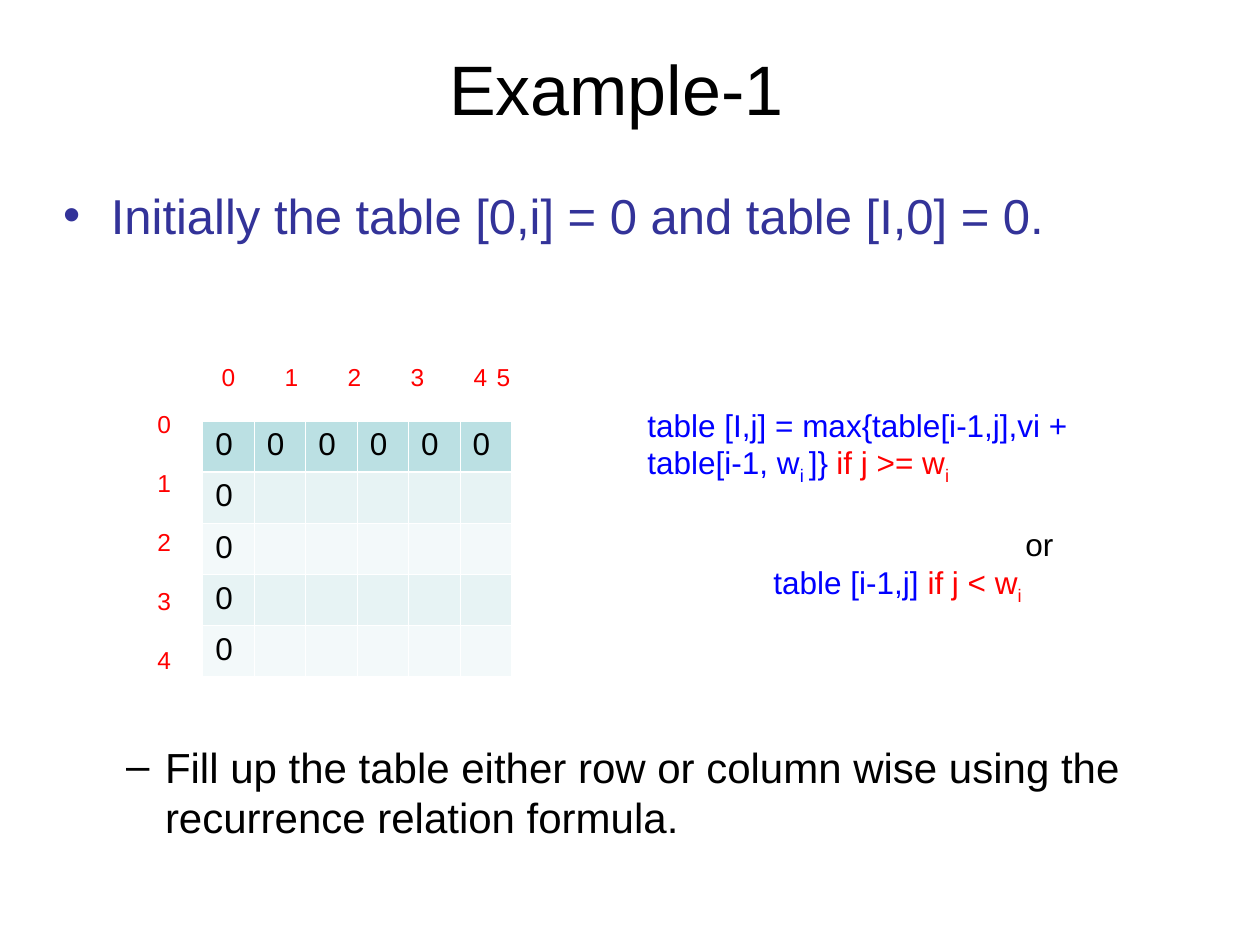
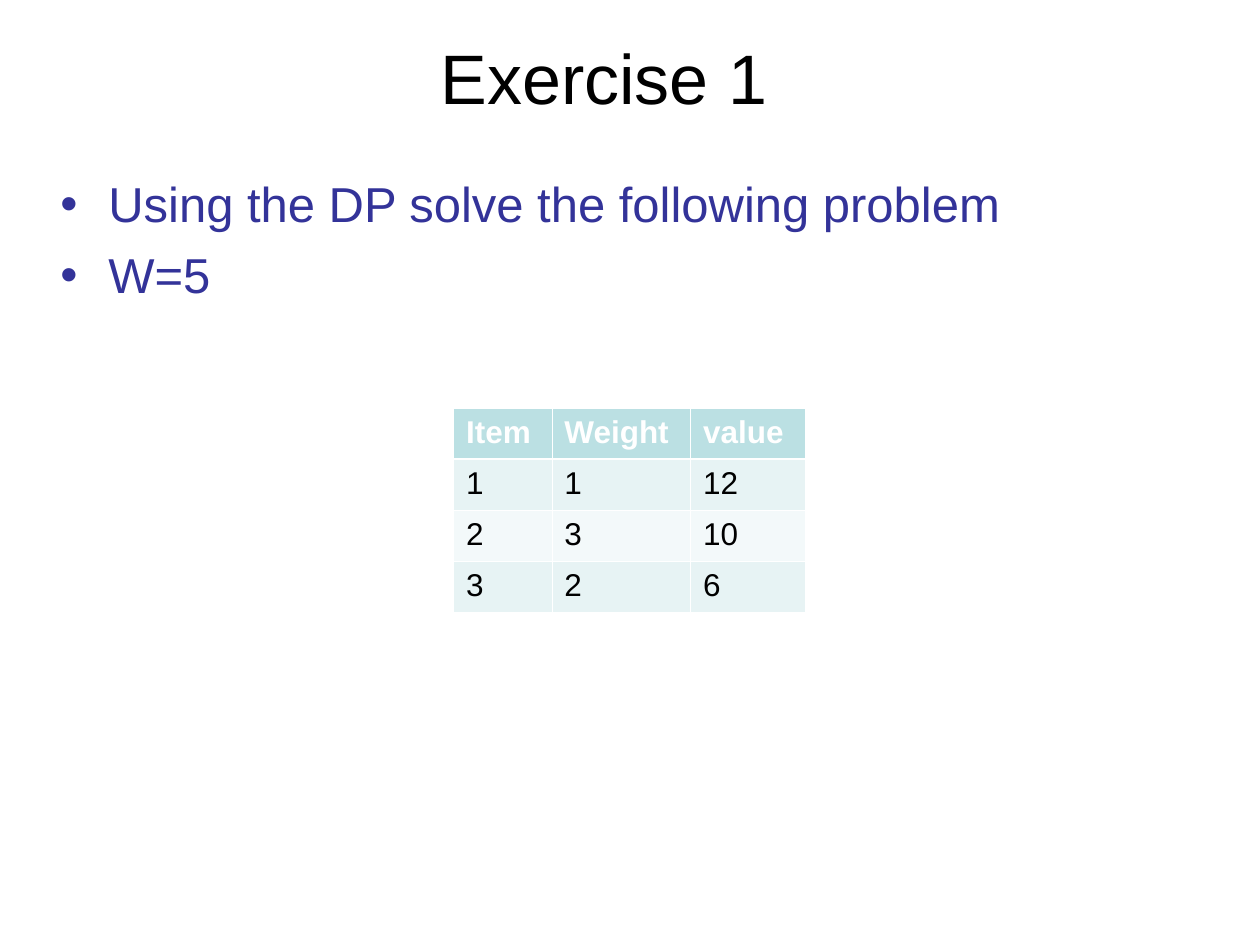
import pptx
import pptx.dml.color
import pptx.enum.text
import pptx.oxml
import pptx.oxml.ns
import pptx.util
from pptx.util import Inches, Pt

# Shared style
FONT = "Arial"
BLACK, WHITE, RED, BLUE, INDIGO = "000000", "FFFFFF", "FF0000", "0000FF", "333399"
HEADER_FILL, BAND_FILLS = "BBE0E3", ("E7F3F4", "F3F9FA")
THIN, THICK = 0.45, 1.47
# Level: size, colour, left margin, hanging indent, space before
LEVELS = [(28, INDIGO, 0.38, -0.38, 7), (24, BLACK, 0.81, -0.31, 6)]

# Example slide
EXAMPLE_TITLE = "Example-1"
EXAMPLE_BULLETS = [
    (0, "Initially the table [0,i] = 0 and table [I,0] = 0."),
    (1, "Fill up the table either row or column wise using the recurrence relation formula."),
]
SPACE_ABOVE_FILL_UP = 284
ITEM_LABELS = ["0", "1", "2", "3", "4"]
CAPACITY_LABELS = {"0": 0.12, "1": 0.5, "2": 0.93, "3": 1.31, "4": 1.69, "5": 2.18}
EXAMPLE_ROWS = [["0"] * 6] + [["0"] + [""] * 5 for _ in range(4)]
# Paragraph: left margin, space before, runs of (text, colour, subscript)
RECURRENCE = [
    (0, 0, [("table [I,j] = max{table[i-1,j],vi + table[i-1, w", BLUE, False),
            ("i ", BLUE, True), ("]}\t", BLUE, False),
            ("if j >= w", RED, False), ("i", RED, True)]),
    (3, 22, [("or", BLACK, False)]),
    (1, 0, [("table [i-1,j] ", BLUE, False), ("if j < w", RED, False), ("i", RED, True)]),
]
CONDITION_TAB = 1.64

# Exercise slide
EXERCISE_TITLE = "Exercise 1 "
EXERCISE_BULLETS = [(0, "Using the DP solve the following problem"), (0, "W=5")]
EXERCISE_ROWS = [["Item", "Weight", "value"], ["1", "1", "12"], ["2", "3", "10"], ["3", "2", "6"]]
EXERCISE_COLUMNS = [0.78, 1.1, 0.91]


def color(value):
    return pptx.dml.color.RGBColor.from_string(value)


def format_runs(paragraph, size, text_color, bold=False):
    for run in paragraph.runs:
        run.font.name = FONT
        run.font.size = Pt(size)
        run.font.bold = bold
        run.font.color.rgb = color(text_color)


def set_indent(paragraph, margin, hanging=0):
    properties = paragraph._p.get_or_add_pPr()
    properties.set("marL", str(Inches(margin)))
    properties.set("indent", str(Inches(hanging)))


def add_tabs(paragraph, positions):
    stops = "".join(f'<a:tab pos="{Inches(position)}" algn="l"/>' for position in positions)
    paragraph._p.get_or_add_pPr().append(pptx.oxml.parse_xml(
        f'<a:tabLst {pptx.oxml.ns.nsdecls("a")}>{stops}</a:tabLst>'))


def place(shape, left, top, width, height):
    shape.left, shape.top = Inches(left), Inches(top)
    shape.width, shape.height = Inches(width), Inches(height)


def add_slide(presentation, title_text, bullets, left, title_top, body_top):
    slide = presentation.slides.add_slide(presentation.slide_layouts[1])
    title, body = slide.shapes.title, slide.placeholders[1]
    place(title, left, title_top, 9, 0.99)
    place(body, left + 0.01, body_top, 9, 5.55)
    for shape in (title, body):
        shape.text_frame.auto_size = pptx.enum.text.MSO_AUTO_SIZE.NONE
    title.text_frame.text = title_text
    format_runs(title.text_frame.paragraphs[0], 40, BLACK)

    body.text_frame.text = "\n".join(text for _, text in bullets)
    for index, (level, _) in enumerate(bullets):
        paragraph = body.text_frame.paragraphs[index]
        size, text_color, margin, hanging, space = LEVELS[level]
        paragraph.level = level
        set_indent(paragraph, margin, hanging)
        paragraph.space_before = Pt(space if index else 0)
        format_runs(paragraph, size, text_color)
    return slide


def add_text_box(slide, left, top, width, height, wrap=True):
    text_frame = slide.shapes.add_textbox(
        Inches(left), Inches(top), Inches(width), Inches(height)).text_frame
    text_frame.word_wrap = wrap
    return text_frame


def set_borders(cell, row_index):
    widths = {"lnL": THIN, "lnR": THIN,
              "lnT": THICK if row_index == 1 else THIN,
              "lnB": THICK if row_index == 0 else THIN}
    properties = cell._tc.get_or_add_tcPr()
    for position, (side, width) in enumerate(widths.items()):
        properties.insert(position, pptx.oxml.parse_xml(
            f'<a:{side} {pptx.oxml.ns.nsdecls("a")} w="{Pt(width)}"><a:solidFill>'
            f'<a:srgbClr val="{WHITE}"/></a:solidFill></a:{side}>'))


def add_grid(slide, rows, left, top, width, height, header_color, header_bold):
    table = slide.shapes.add_table(
        len(rows), len(rows[0]), Inches(left), Inches(top), Inches(width), Inches(height)).table
    for row_index, row in enumerate(rows):
        is_header = row_index == 0
        for column_index, text in enumerate(row):
            cell = table.cell(row_index, column_index)
            cell.text_frame.text = text
            format_runs(cell.text_frame.paragraphs[0], 18,
                        header_color if is_header else BLACK, is_header and header_bold)
            cell.fill.solid()
            fill = HEADER_FILL if is_header else BAND_FILLS[(row_index - 1) % 2]
            cell.fill.fore_color.rgb = color(fill)
            set_borders(cell, row_index)
    return table


def build_example(presentation):
    slide = add_slide(presentation, EXAMPLE_TITLE, EXAMPLE_BULLETS, 0.39, 0.2, 1.42)
    slide.placeholders[1].text_frame.paragraphs[1].space_before = Pt(SPACE_ABOVE_FILL_UP)
    add_grid(slide, EXAMPLE_ROWS, 1.61, 3.34, 2.45, 2.03, BLACK, False)

    # Column labels
    paragraph = add_text_box(slide, 1.54, 2.82, 2.62, 0.35).paragraphs[0]
    first, *others = CAPACITY_LABELS.values()
    set_indent(paragraph, first)
    add_tabs(paragraph, others)
    paragraph.text = "\t".join(CAPACITY_LABELS)
    format_runs(paragraph, 14, RED)

    # Row labels
    text_frame = add_text_box(slide, 1.15, 3.2, 0.31, 2.44, wrap=False)
    text_frame.text = "\n".join(ITEM_LABELS)
    for index, paragraph in enumerate(text_frame.paragraphs):
        paragraph.space_before = Pt(16.8 if index else 0)
        format_runs(paragraph, 14, RED)

    # Recurrence relation
    text_frame = add_text_box(slide, 5.04, 3.17, 4.29, 1.68)
    for index, (margin, space, runs) in enumerate(RECURRENCE):
        paragraph = text_frame.add_paragraph() if index else text_frame.paragraphs[0]
        set_indent(paragraph, margin)
        paragraph.space_before = Pt(space)
        add_tabs(paragraph, [CONDITION_TAB])
        for text, text_color, subscript in runs:
            run = paragraph.add_run()
            run.text = text
            run.font.name, run.font.size = FONT, Pt(18)
            run.font.color.rgb = color(text_color)
            if subscript:
                run._r.get_or_add_rPr().set("baseline", "-25000")


def build_exercise(presentation):
    slide = add_slide(presentation, EXERCISE_TITLE, EXERCISE_BULLETS, 0.37, 0.11, 1.33)
    table = add_grid(slide, EXERCISE_ROWS, 3.6, 3.24, sum(EXERCISE_COLUMNS), 1.62, WHITE, True)
    for column, width in zip(table.columns, EXERCISE_COLUMNS):
        column.width = Inches(width)


def main():
    presentation = pptx.Presentation()
    presentation.slide_width, presentation.slide_height = Inches(10), Inches(7.5)
    build_example(presentation)
    build_exercise(presentation)
    presentation.save("out.pptx")


if __name__ == "__main__":
    main()
